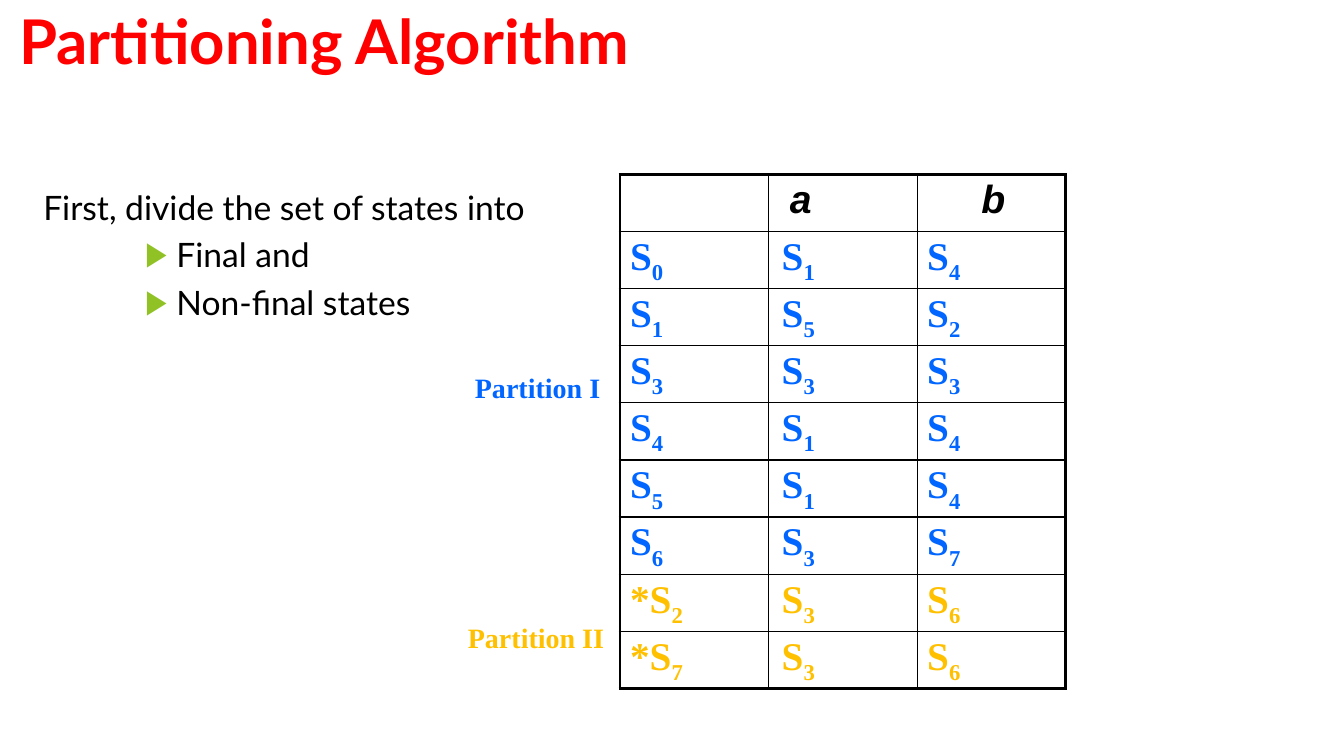
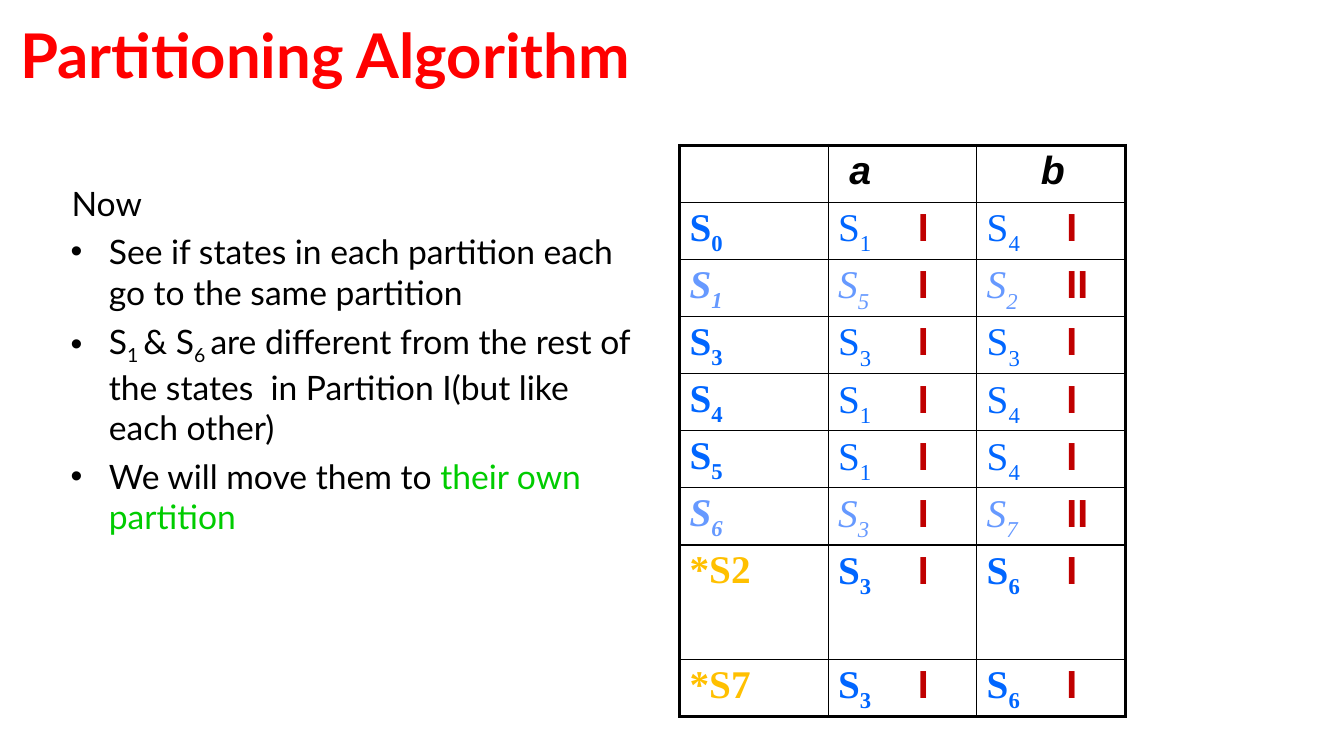
from itertools import cycle

from lxml import etree
from pptx import Presentation
from pptx.dml.color import RGBColor
from pptx.enum.text import MSO_ANCHOR, MSO_AUTO_SIZE, PP_ALIGN
from pptx.oxml.ns import qn
from pptx.util import Inches, Pt

LEFT, MID = PP_ALIGN.LEFT, PP_ALIGN.CENTER
CENTER = MSO_ANCHOR.MIDDLE
FIXED = MSO_AUTO_SIZE.NONE

HUES = {
    "title": "FF0000", "text": "000000", "arrow": "90C225",
    "one": "0066FF", "two": "FFC000", "pale": "6699FF",
    "mark": "C00000", "move": "00CC00",
}
SANS, SERIF, HEAD = "Lato", "Times New Roman", "Arial"
SUB = -26000

# state, next state on a, next state on b
MOVES = [(0, 1, 4), (1, 5, 2), (3, 3, 3), (4, 1, 4),
         (5, 1, 4), (6, 3, 7), (2, 3, 6), (7, 3, 6)]
FINAL = {2, 7}
SPLIT = {1, 6}


def look(hue, size, font, bold=False, slant=False, base=0):
    return dict(hue=hue, size=size, font=font, bold=bold, slant=slant, base=base)


def rich(par, text, looks):
    """Cut text at each bar and give the pieces the looks in turn."""
    for piece, style in zip(text.split("|"), cycle(looks)):
        run = par.add_run()
        run.text = piece
        font = run.font
        font.name, font.size = style["font"], Pt(style["size"])
        font.bold, font.italic = style["bold"], style["slant"]
        font.color.rgb = RGBColor.from_string(HUES[style["hue"]])
        if style["base"]:
            run._r.get_or_add_rPr().set("baseline", str(style["base"]))


def add(node, tag, **attrs):
    return etree.SubElement(node, qn(tag), **attrs)


def bullet(par, sign, hue, left, hang):
    props = par._p.get_or_add_pPr()
    props.set("marL", str(Inches(left)))
    props.set("indent", str(-Inches(hang)))
    add(add(props, "a:buClr"), "a:srgbClr", val=HUES[hue])
    add(props, "a:buFont", typeface=HEAD)
    add(props, "a:buChar", char=sign)


def stop(par, place):
    tabs = add(par._p.get_or_add_pPr(), "a:tabLst")
    add(tabs, "a:tab", pos=str(Inches(place)), algn="l")


def border(cell, widths):
    """Draw the left, right, top and bottom lines of a cell."""
    props = cell._tc.get_or_add_tcPr()
    for spot, (side, width) in enumerate(zip("LRTB", widths)):
        line = etree.Element(qn("a:ln" + side), w=str(Pt(width)))
        add(add(line, "a:solidFill"), "a:srgbClr", val=HUES["text"])
        props.insert(spot, line)


class Deck:
    def __init__(self):
        self.prs = Presentation()
        self.prs.slide_width = Inches(13.33)
        self.prs.slide_height = Inches(7.5)
        self.slide = None

    def page(self, title, left, top, width):
        self.slide = self.prs.slides.add_slide(self.prs.slide_layouts[5])
        shape = self.slide.shapes.title
        shape.left, shape.top = Inches(left), Inches(top)
        shape.width, shape.height = Inches(width), Inches(0.76)
        frame = self.frame(shape, 0.01)
        frame.vertical_anchor = CENTER
        par = frame.paragraphs[0]
        par.alignment = LEFT
        rich(par, title, [look("title", 44, SANS, True)])

    def frame(self, shape, inset):
        frame = shape.text_frame
        frame.word_wrap, frame.auto_size = True, FIXED
        frame.margin_left = frame.margin_right = frame.margin_bottom = 0
        frame.margin_top = Inches(inset)
        return frame

    def box(self, left, top, width, height, inset):
        shape = self.slide.shapes.add_textbox(
            Inches(left), Inches(top), Inches(width), Inches(height))
        return self.frame(shape, inset)

    def label(self, text, hue, left, top):
        frame = self.box(left, top, 1.38, 0.36, 0.01)
        rich(frame.paragraphs[0], text, [look(hue, 20, SERIF, True)])

    def body(self, place, lead, items, sign, indent, gap):
        """Write a lead line and bullets; an item is (text, look of odd pieces)."""
        plain = look("text", 24, SANS)
        frame = self.box(*place, 0.08)
        first = frame.paragraphs[0]
        first.alignment = LEFT
        rich(first, lead, [plain])
        for text, odd in items:
            par = frame.add_paragraph()
            bullet(par, *sign, *indent)
            par.space_before = Pt(gap)
            rich(par, text, [plain, odd])

    def table(self, left, top, units, fill):
        """Add the state table; units are row heights, fill yields a row's cells."""
        unit = Inches(5.1) // 9
        width, rows = Inches(4.42), len(units)
        grid = self.slide.shapes.add_table(
            rows, 3, Inches(left), Inches(top), width, unit * sum(units)).table
        grid.first_row = grid.horz_banding = False
        for row, count in zip(grid.rows, units):
            row.height = unit * count
        for col in grid.columns:
            col.width = width // 3
        for r in range(rows):
            for c in range(3):
                cell = grid.cell(r, c)
                cell.fill.background()
                cell.margin_left = cell.margin_right = cell.margin_bottom = 0
                cell.margin_top = Inches(0.04)
                edges = (c == 0, c == 2, r == 0, r == rows - 1)
                border(cell, [2.25 if edge else 1 for edge in edges])
        for name, col, inset in (("a", 1, 0.21), ("b", 2, 0.04)):
            cell = grid.cell(0, col)
            cell.margin_left = Inches(inset)
            par = cell.text_frame.paragraphs[0]
            par.alignment = MID if name == "b" else LEFT
            rich(par, name, [look("text", 28, HEAD, True, True)])
        for r, move in enumerate(MOVES, 1):
            for c, (text, looks, inset) in enumerate(fill(move)):
                cell = grid.cell(r, c)
                cell.margin_left = Inches(inset)
                par = cell.text_frame.paragraphs[0]
                if "\t" in text:
                    stop(par, 0.79)
                rich(par, text, looks)


def pair(hue, bold, slant=False):
    """Give the looks of a state letter and its index."""
    return [look(hue, 28, SERIF, bold, slant, base) for base in (0, SUB)]


def divide(move):
    """Colour a row by its partition."""
    final = move[0] in FINAL
    looks = pair("two" if final else "one", True)
    for col, state in enumerate(move):
        star = "*" if final and col == 0 else ""
        yield f"{star}S|{state}", looks, 0.13 if col == 1 else 0.1


def check(move):
    """Mark each next state with its partition."""
    first, *goals = move
    final, split = first in FINAL, first in SPLIT
    hue = "pale" if split else "one"
    if final:
        yield f"*S{first}", pair("two", True), 0.1
    else:
        yield f"S|{first}", pair(hue, True, split), 0.1
    mark = look("mark", 28, HEAD, True)
    for goal in goals:
        part = "II" if goal in FINAL else "I"
        yield f"S|{goal}|\t{part}", pair(hue, final, split) + [mark], 0.1


def main():
    deck = Deck()
    title = "Partitioning Algorithm"
    plain = look("text", 24, SANS)
    sub = look("text", 24, SANS, base=SUB)
    green = look("move", 24, SANS)

    deck.page(title, 0.19, 0.01, 6.48)
    deck.body((0.43, 1.77, 5.53, 1.5), "First, divide the set of states into",
              [("Final and", plain), ("Non-final states", plain)],
              ("▶", "arrow"), (1.32, 0.31), 5.2)
    deck.label("Partition I", "one", 4.71, 3.67)
    deck.label("Partition II", "two", 4.64, 6.15)
    deck.table(6.15, 1.73, [1] * 9, divide)

    deck.page(title, 0.2, 0.15, 11.5)
    deck.body((0.64, 1.73, 5.7, 3.57), "Now", [
        ("See if states in each partition each go to the same partition", plain),
        ("S|1 |& S|6 |are different from the rest of the states  "
         "in Partition I(but like each other)", sub),
        ("We will move them to |their own partition", green),
    ], ("•", "text"), (0.44, 0.38), 6.1)
    deck.slide.shapes[1].text_frame.paragraphs[0].alignment = LEFT
    indent = deck.slide.shapes[1].text_frame.paragraphs[0]._p.get_or_add_pPr()
    indent.set("marL", str(Inches(0.07)))
    deck.table(6.74, 1.44, [1] * 7 + [2, 1], check)

    deck.prs.save("out.pptx")


if __name__ == "__main__":
    main()
